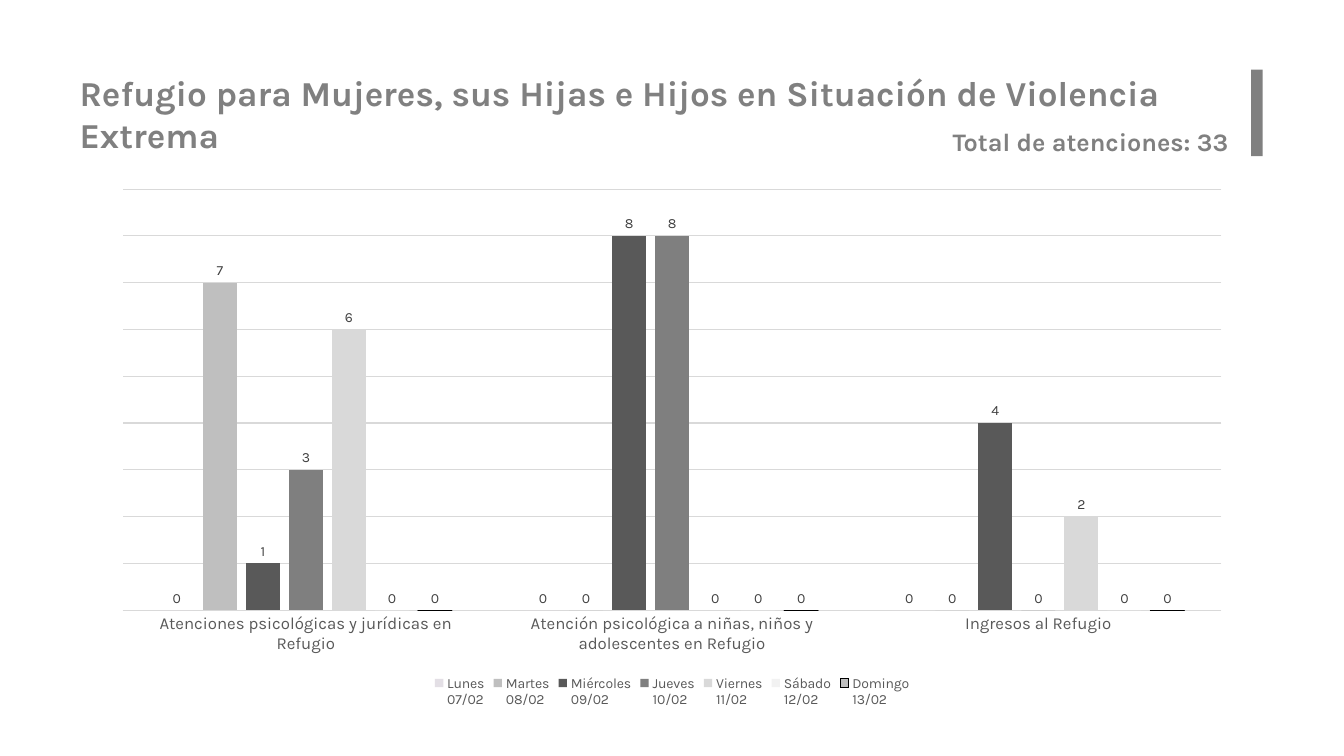
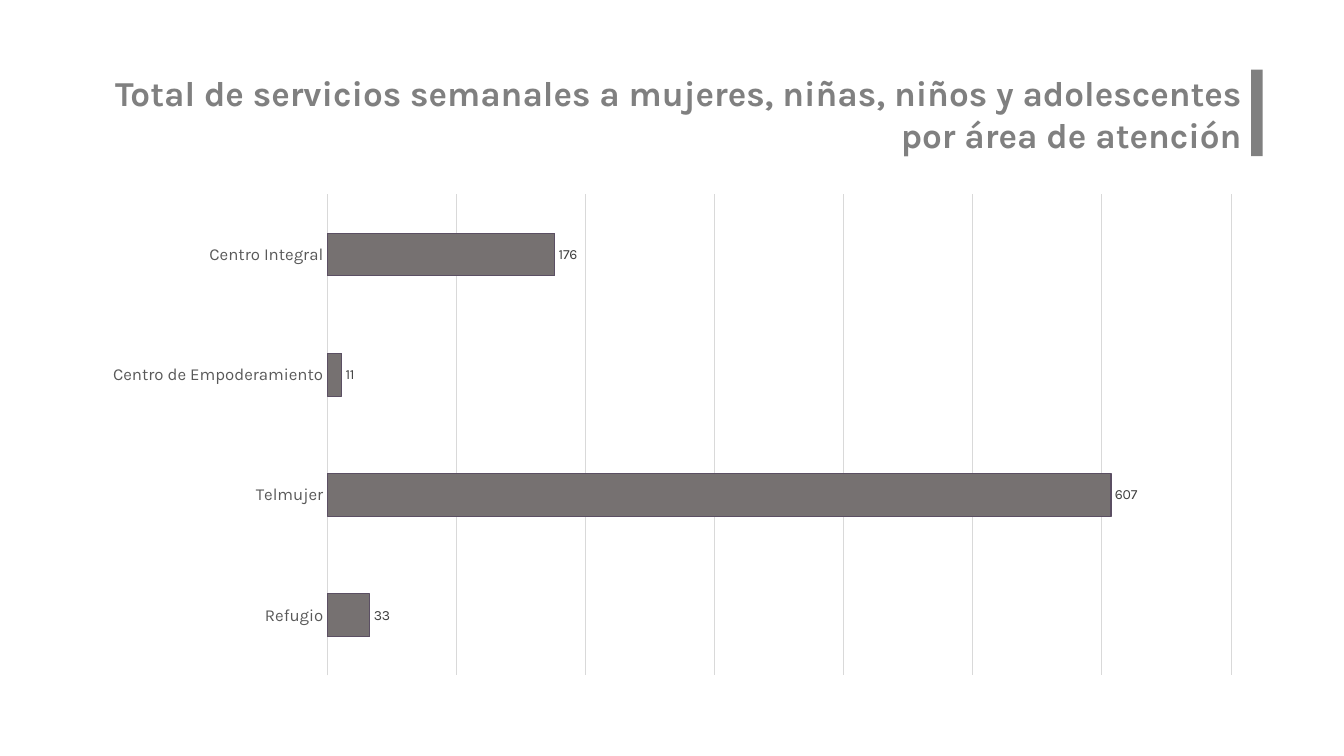
from dataclasses import dataclass

from pptx import Presentation
from pptx.chart.data import CategoryChartData
from pptx.dml.color import RGBColor
from pptx.enum.chart import XL_CHART_TYPE, XL_LABEL_POSITION, XL_LEGEND_POSITION, XL_TICK_MARK
from pptx.enum.shapes import MSO_SHAPE
from pptx.enum.text import PP_ALIGN
from pptx.util import Inches, Pt

COLUMNS = XL_CHART_TYPE.COLUMN_CLUSTERED
BARS = XL_CHART_TYPE.BAR_CLUSTERED
OUTSIDE = XL_LABEL_POSITION.OUTSIDE_END
BOTTOM = XL_LEGEND_POSITION.BOTTOM
NO_TICK = XL_TICK_MARK.NONE
RECT = MSO_SHAPE.RECTANGLE
LEFT, RIGHT = PP_ALIGN.LEFT, PP_ALIGN.RIGHT


@dataclass(frozen=True)
class Theme:
    font: str = "Karla"
    accent: str = "808080"
    axis_text: str = "595959"
    label_text: str = "404040"
    grid: str = "D9D9D9"
    title_size: int = 25
    total_size: int = 18
    axis_size: int = 12
    label_size: int = 10
    hairline: float = 0.75


class Deck:
    def __init__(self, theme):
        self.theme = theme
        self.prs = Presentation()
        self.prs.slide_width = Inches(13.33)
        self.prs.slide_height = Inches(7.5)
        self.s = None

    def box(self, x, y, w, h):
        width, height = self.prs.slide_width, self.prs.slide_height
        return [int(share * side / 100) for share, side in
                ((x, width), (y, height), (w, width), (h, height))]

    def style(self, font, size, color, bold=False):
        for name, value in {"name": self.theme.font, "size": Pt(size), "bold": bold}.items():
            setattr(font, name, value)
        font.color.rgb = RGBColor.from_string(color)

    def outline(self, line, color):
        if color is None:
            line.fill.background()
        else:
            line.color.rgb = RGBColor.from_string(color)
            line.width = Pt(self.theme.hairline)

    def slide(self, title, align=LEFT):
        self.s = self.prs.slides.add_slide(self.prs.slide_layouts[6])
        self.band(93.1, 9.2, 0.85, 11.47)
        self.text(title, (5.18, 8.8, 87.92, 12.53), self.theme.title_size, align)

    def band(self, *area):
        sp = self.s.shapes.add_shape(RECT, *self.box(*area))
        sp.shadow.inherit = False
        sp.fill.solid()
        sp.fill.fore_color.rgb = RGBColor.from_string(self.theme.accent)
        self.outline(sp.line, None)

    def text(self, words, area, size, align=LEFT):
        tf = self.s.shapes.add_textbox(*self.box(*area)).text_frame
        tf.word_wrap = True
        p = tf.paragraphs[0]
        p.alignment = align
        r = p.add_run()
        r.text = words
        self.style(r.font, size, self.theme.accent, True)

    def chart(self, kind, area, categories, series, gap, overlap, top, step):
        t = self.theme
        data = CategoryChartData()
        data.categories = categories
        for name, values, _, _ in series:
            data.add_series(name, values)
        chart = self.s.shapes.add_chart(kind, *self.box(*area), data).chart
        chart.has_title = False
        self.style(chart.font, t.label_size, t.axis_text)

        chart.has_legend = len(series) > 1
        if chart.has_legend:
            chart.legend.position = BOTTOM
            chart.legend.include_in_layout = False
            self.style(chart.legend.font, t.label_size, t.axis_text)

        axis = chart.category_axis
        axis.major_tick_mark = axis.minor_tick_mark = NO_TICK
        axis.reverse_order = kind == BARS
        self.style(axis.tick_labels.font, t.axis_size, t.axis_text)
        self.outline(axis.format.line, t.grid)

        axis = chart.value_axis
        for name, value in {"minimum_scale": 0, "maximum_scale": top, "major_unit": step,
                            "has_major_gridlines": True, "visible": False}.items():
            setattr(axis, name, value)
        self.outline(axis.major_gridlines.format.line, t.grid)

        plot = chart.plots[0]
        plot.vary_by_categories = False
        plot.gap_width = gap
        plot.overlap = overlap
        for ser, (_, _, fill, border) in zip(plot.series, series):
            ser.format.fill.solid()
            ser.format.fill.fore_color.rgb = RGBColor.from_string(fill)
            self.outline(ser.format.line, border)
            labels = ser.data_labels
            labels.show_value = True
            labels.position = OUTSIDE
            self.style(labels.font, t.label_size, t.label_text)


def main():
    theme = Theme()
    deck = Deck(theme)

    deck.slide("Refugio para Mujeres, sus Hijas e Hijos en Situación de Violencia Extrema")
    deck.text("Total de atenciones: 33", (70.14, 16, 22.96, 5.33), theme.total_size)
    days = [
        ("Lunes", (0, 0, 0), "E3DFE5", None),
        ("Martes", (7, 0, 0), "BFBFBF", None),
        ("Miércoles", (1, 8, 4), "595959", None),
        ("Jueves", (3, 8, 0), "7F7F7F", None),
        ("Viernes", (6, 0, 2), "D9D9D9", None),
        ("Sábado", (0, 0, 0), "F2F2F2", None),
        ("Domingo", (0, 0, 0), "BFBFBF", "000000"),
    ]
    week = [(f"{day}\n{date:02}/02", *rest) for date, (day, *rest) in enumerate(days, 7)]
    deck.chart(COLUMNS, (7.43, 23.6, 85.15, 70.53),
               ["Atenciones psicológicas y jurídicas en Refugio",
                "Atención psicológica a niñas, niños y adolescentes en Refugio",
                "Ingresos al Refugio"],
               week, gap=219, overlap=-27, top=9, step=1)

    deck.slide("Total de servicios semanales a mujeres, niñas, niños y adolescentes "
               "por área de atención", RIGHT)
    deck.chart(BARS, (6.68, 24.4, 86.65, 66.27),
               ["Centro Integral", "Centro de Empoderamiento", "Telmujer", "Refugio"],
               [("Servicios", (176, 11, 607, 33), "767171", "5B4F63")],
               gap=182, overlap=0, top=700, step=100)

    deck.prs.save("out.pptx")


if __name__ == "__main__":
    main()
